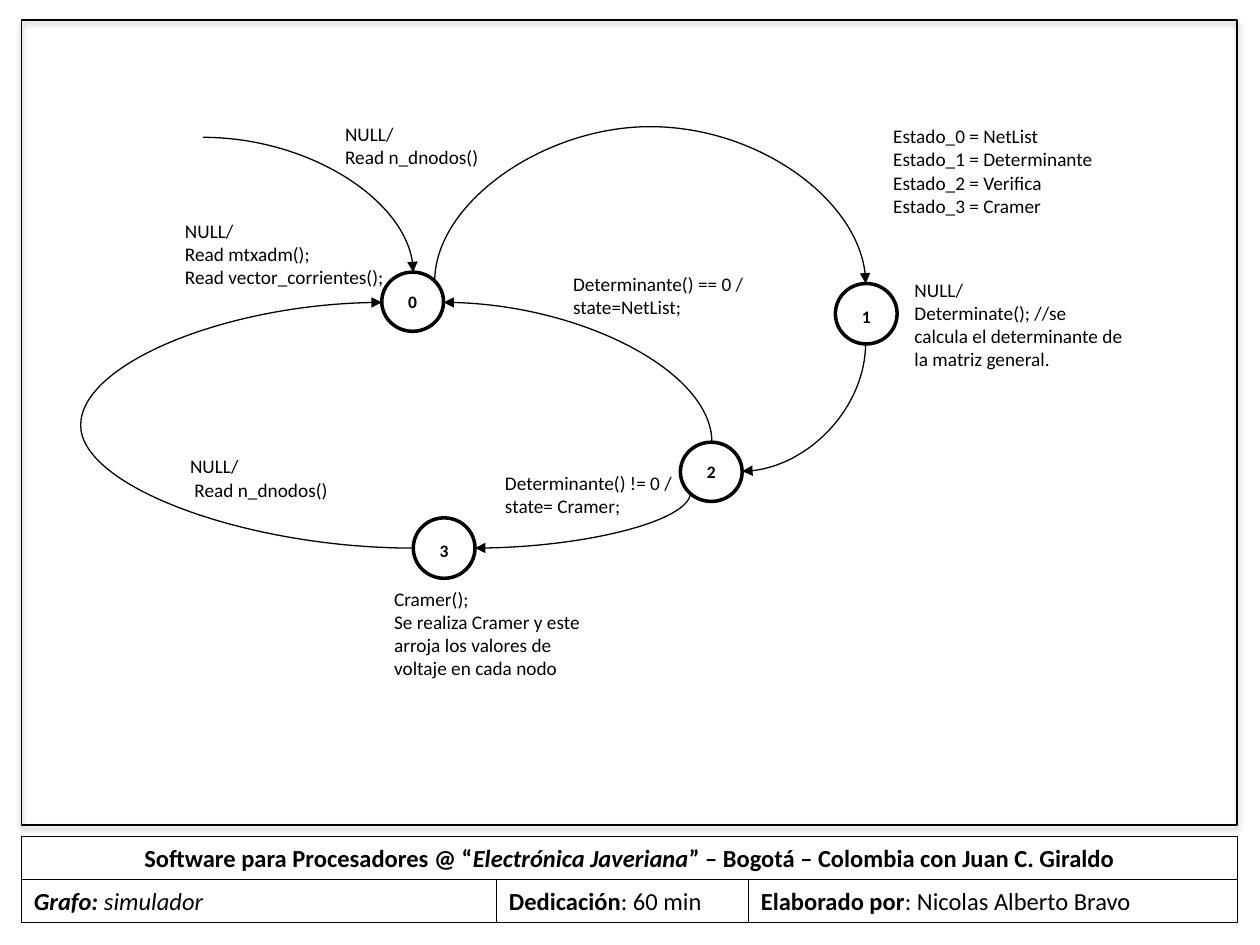
from lxml import etree
from pptx import Presentation
from pptx.dml.color import RGBColor
from pptx.enum import shapes, text
from pptx.oxml import ns
from pptx.util import Inches, Pt

BLACK, WHITE = "000000", "FFFFFF"

presentation = Presentation()
presentation.slide_width, presentation.slide_height = Inches(10), Inches(7.5)
slide = presentation.slides.add_slide(presentation.slide_layouts[6])


def color(value):
    return RGBColor.from_string(value)


def add_text(box, kind=None, paragraphs=(), size=11, line=None, fill=None,
             center=False, middle=False, insets=(0.1, 0.05, 0.1, 0.05)):
    """Each paragraph is a list of (text, style) runs; style holds b and/or i."""
    position = [Inches(value) for value in box]
    if kind is None:
        shape = slide.shapes.add_textbox(*position)
    else:
        shape = slide.shapes.add_shape(kind, *position)
        shape.shadow.inherit = False
        shape.line.color.rgb = color(BLACK)
        shape.line.width = Pt(line)
        if fill:
            shape.fill.solid()
            shape.fill.fore_color.rgb = color(fill)
        else:
            shape.fill.background()
    frame = shape.text_frame
    frame.word_wrap = True
    frame.vertical_anchor = text.MSO_ANCHOR.MIDDLE if middle else text.MSO_ANCHOR.TOP
    (frame.margin_left, frame.margin_top,
     frame.margin_right, frame.margin_bottom) = [Inches(value) for value in insets]
    for index, runs in enumerate(paragraphs):
        paragraph = frame.add_paragraph() if index else frame.paragraphs[0]
        paragraph.alignment = text.PP_ALIGN.CENTER if center else text.PP_ALIGN.LEFT
        for words, style in runs:
            run = paragraph.add_run()
            run.text = words
            run.font.name, run.font.size = "Calibri", Pt(size)
            run.font.bold, run.font.italic = "b" in style, "i" in style
            run.font.color.rgb = color(BLACK)
    return shape


RECTANGLE = shapes.MSO_SHAPE.RECTANGLE

# Title block
title_cells = [
    (0.17, 6.64, 9.65, True, [("Software para Procesadores @ “", "b"),
                              ("Electrónica Javeriana", "bi"),
                              ("” – Bogotá – Colombia con Juan C. Giraldo", "b")]),
    (0.17, 6.98, 3.77, False, [("Grafo: ", "bi"), ("simulador", "i")]),
    (3.94, 6.98, 2, False, [("Dedicación", "b"), (": 60 min", "")]),
    (5.94, 6.98, 3.88, False, [("Elaborado por", "b"), (": Nicolas Alberto Bravo", "")]),
]
for left, top, width, center, runs in title_cells:
    add_text((left, top, width, 0.34), RECTANGLE, [runs], size=14, line=0.25, center=center)

# Drawing frame with a soft shadow
drawing_frame = add_text((0.17, 0.16, 9.65, 6.39), RECTANGLE, line=1)
effects = drawing_frame._element.spPr.find(ns.qn("a:effectLst"))
shadow = etree.SubElement(effects, ns.qn("a:outerShdw"), blurRad=str(Pt(3.1)),
                          dist=str(Pt(1.8)), dir="5400000", rotWithShape="0")
shadow_color = etree.SubElement(shadow, ns.qn("a:srgbClr"), val=BLACK)
etree.SubElement(shadow_color, ns.qn("a:alpha"), val="35000")

# States: left, top, height, extra inset above the number
states = [(3.03, 2.16, 0.47, 0), (6.63, 2.25, 0.48, 0.04),
          (5.4, 3.51, 0.47, 0), (3.28, 4.11, 0.48, 0.04)]
for number, (left, top, height, inset) in enumerate(states):
    add_text((left, top, 0.49, height), shapes.MSO_SHAPE.FLOWCHART_CONNECTOR,
             [[(str(number), "b")]], size=10, line=2, fill=WHITE,
             center=True, middle=True, insets=(0, inset, 0, 0))

# Transitions: start, end, rotation, flip, bend ratio for three-part curves
transitions = [
    ((1.61, 1.09), (3.28, 2.16), 0, None, None),
    ((3.45, 2.23), (6.87, 2.25), 270, "flipH", (1.01 - 2.23) / 0.02),
    ((6.87, 2.72), (5.89, 3.74), 90, None, None),
    ((5.65, 3.51), (3.52, 2.4), 270, "flipV", None),
    ((5.48, 3.91), (3.77, 4.35), 90, None, None),
    ((3.28, 4.35), (3.03, 2.4), 180, None, (3.28 - 0.64) / 0.25),
]
for (x1, y1), (x2, y2), rotation, flip, bend in transitions:
    width, height = abs(x2 - x1), abs(y2 - y1)
    if rotation % 180:
        width, height = height, width
    left, top = (x1 + x2 - width) / 2, (y1 + y2 - height) / 2
    curve = slide.shapes.add_connector(
        shapes.MSO_CONNECTOR.CURVE, Inches(left), Inches(top),
        Inches(left + width), Inches(top + height))
    curve.line.color.rgb = color(BLACK)
    curve.line.width = Pt(0.75)
    properties = curve._element.spPr
    transform = properties.find(ns.qn("a:xfrm"))
    transform.set("rot", str(rotation * 60000))
    if flip:
        transform.set(flip, "1")
    geometry = properties.find(ns.qn("a:prstGeom"))
    if bend is None:
        geometry.set("prst", "curvedConnector2")
    else:
        etree.SubElement(geometry.find(ns.qn("a:avLst")), ns.qn("a:gd"),
                         name="adj1", fmla=f"val {round(bend * 100000)}")
    etree.SubElement(properties.find(ns.qn("a:ln")), ns.qn("a:tailEnd"), type="triangle")
    etree.SubElement(properties, ns.qn("a:effectLst"))

# Labels
labels = [
    (2.64, 0.92, 1.75, ["NULL/", "Read n_dnodos()"]),
    (6.99, 0.94, 1.92, ["Estado_0 = NetList", "Estado_1 = Determinante",
                        "Estado_2 = Verifica", "Estado_3 = Cramer"]),
    (1.37, 1.69, 1.86, ["NULL/", "Read mtxadm();", "Read vector_corrientes();"]),
    (7.16, 2.16, 1.86, ["NULL/", "Determinate(); //se calcula el determinante "
                                 "de la matriz general."]),
    (4.45, 2.11, 1.86, ["Determinante() == 0 /", "state=NetList;"]),
    (3.91, 3.69, 1.86, ["Determinante() != 0 /", "state= Cramer;"]),
    (3.03, 4.61, 1.86, ["Cramer();", "Se realiza Cramer y este arroja los valores "
                                     "de voltaje en cada nodo"]),
    (1.41, 3.56, 1.75, ["NULL/", " Read n_dnodos()"]),
]
for left, top, width, lines in labels:
    height = {2: 0.47, 3: 0.66, 4: 0.84}[len(lines) + 2 * (len(lines[-1]) > 40)]
    add_text((left, top, width, height), paragraphs=[[(words, "")] for words in lines])

presentation.save("out.pptx")
